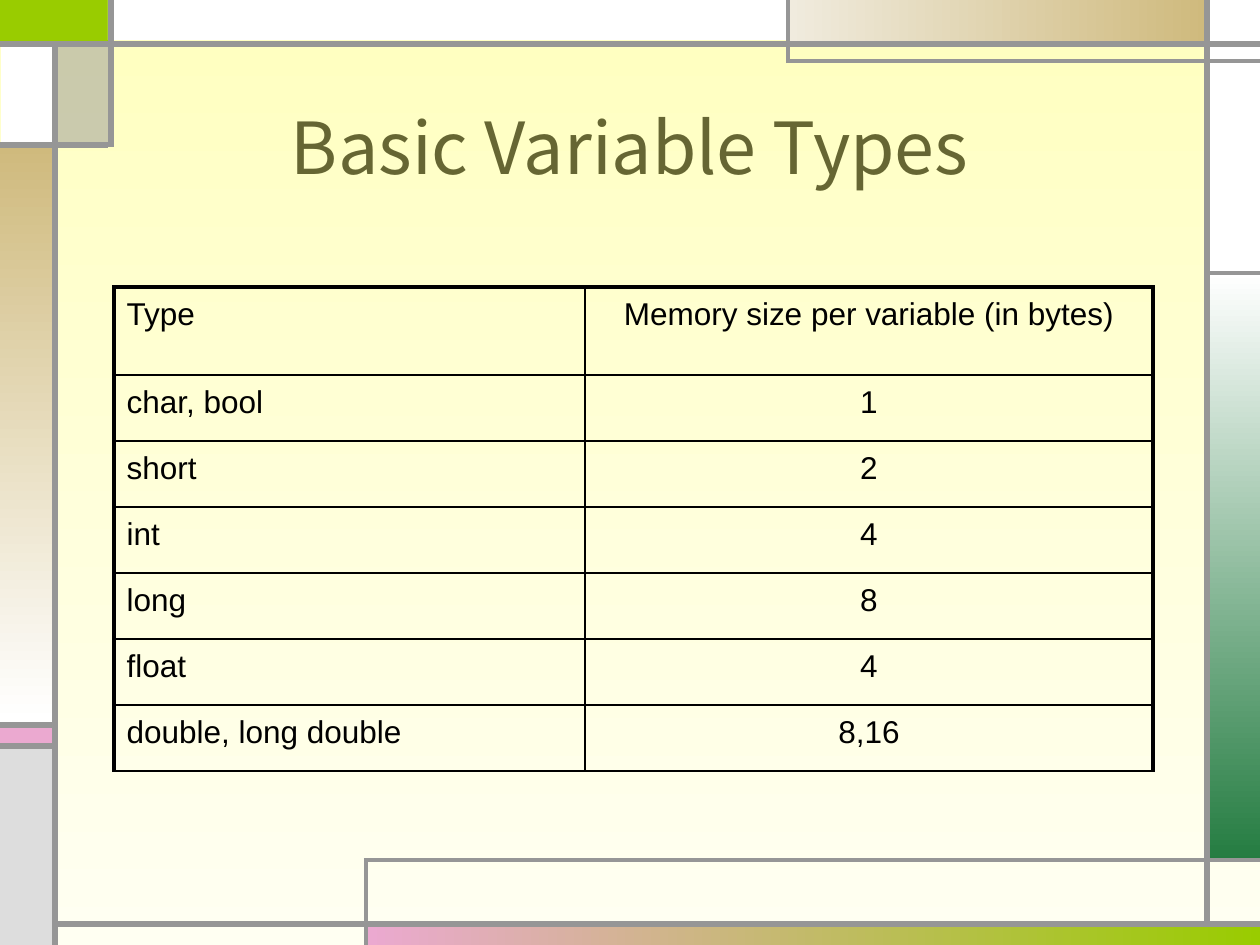
from dataclasses import dataclass

from lxml.etree import SubElement as Sub
from pptx import Presentation
from pptx.dml.color import RGBColor
from pptx.enum.shapes import MSO_CONNECTOR as Conn, MSO_SHAPE as Kind
from pptx.enum.text import MSO_ANCHOR as Anchor, PP_ALIGN as Align
from pptx.oxml.ns import qn
from pptx.util import Emu, Pt

SCALE = 914400 / 126
GREY = "969696"
DOWN = 270


@dataclass
class Block:
    left: int
    top: int
    width: int
    height: int
    hues: tuple[str, ...]
    angle: int = 0
    alpha: int = 100


@dataclass
class Rule:
    x1: int
    y1: int
    x2: int
    y2: int
    width: float = 3


BLOCKS = [
    Block(0, 0, 110, 43, ("99CC00",)),
    Block(368, 924, 892, 21, ("EBA9D0", "99CC00")),
    Block(1207, 273, 53, 588, ("FFFFFF", "247C41"), DOWN),
    Block(0, 725, 53, 21, ("EBA9D0",)),
    Block(0, 747, 53, 198, ("DDDDDD",)),
    Block(1207, 0, 53, 273, ("FFFFFF",)),
    Block(788, 0, 419, 42, ("F0EBDE", "CFBA7D")),
    Block(58, 42, 53, 103, (GREY,), alpha=50),
    Block(0, 145, 53, 577, ("CFBA7D", "FFFFFF"), DOWN),
    Block(1, 42, 53, 103, ("FFFFFF",)),
    Block(108, 0, 680, 40, ("FFFFFF",)),
]
RULES = [
    Rule(55, 945, 55, 42),
    Rule(55, 924, 1260, 924),
    Rule(1207, 924, 1207, 0),
    Rule(0, 44, 1260, 44),
    Rule(1260, 61, 788, 61, 2.25),
    Rule(788, 63, 788, 0, 2.25),
    Rule(1207, 273, 1260, 273, 2.25),
    Rule(111, 0, 111, 147),
    Rule(108, 145, 0, 145),
    Rule(366, 945, 366, 859, 2.25),
    Rule(364, 860, 1260, 860, 2.25),
    Rule(58, 725, 0, 725),
    Rule(58, 746, 0, 746),
]
ROWS = [
    ("Type", "Memory size per variable (in bytes)"),
    ("char, bool", "1"),
    ("short", "2"),
    ("int", "4"),
    ("long", "8"),
    ("float", "4"),
    ("double, long double", "8,16"),
]
COLS = (471, 568)
HEIGHTS = (88,) + (66,) * 6
TITLE = {"size": Pt(41), "name": "Noto Sans CJK KR"}
BODY = {"size": Pt(18), "name": "Arial"}
SPACE = {"line_spacing": 1.1, "space_before": Pt(3.6)}


def px(*nums: int) -> list[Emu]:
    return [Emu(round(n * SCALE)) for n in nums]


def rgb(code: str) -> RGBColor:
    return RGBColor.from_string(code)


def style(item, attrs: dict) -> None:
    for key, value in attrs.items():
        setattr(item, key, value)


def paint(fill, hues: tuple[str, ...], angle: int = 0) -> None:
    if len(hues) == 1:
        fill.solid()
        fill.fore_color.rgb = rgb(hues[0])
        return
    fill.gradient()
    fill.gradient_angle = angle
    for stop, hue, place in zip(fill.gradient_stops, hues, (0, 1)):
        stop.color.rgb = rgb(hue)
        stop.position = place


def draw_block(slide, block: Block) -> None:
    box = px(block.left, block.top, block.width, block.height)
    shape = slide.shapes.add_shape(Kind.RECTANGLE, *box)
    shape.shadow.inherit = False
    shape.line.fill.background()
    paint(shape.fill, block.hues, block.angle)
    if block.alpha < 100:
        for tone in shape.fill._xPr.iter(qn("a:srgbClr")):
            Sub(tone, qn("a:alpha"), val=str(block.alpha * 1000))


def draw_rule(slide, rule: Rule) -> None:
    ends = px(rule.x1, rule.y1, rule.x2, rule.y2)
    line = slide.shapes.add_connector(Conn.STRAIGHT, *ends)
    line.line.color.rgb = rgb(GREY)
    line.line.width = Pt(rule.width)
    Sub(line._element.spPr, qn("a:effectLst"))


def write(frame, text: str, hue: str, font: dict, para: dict) -> None:
    first = frame.paragraphs[0]
    style(first, para)
    run = first.add_run()
    run.text = text
    style(run.font, font)
    run.font.color.rgb = rgb(hue)


def edge(cell, widths: dict[str, float]) -> None:
    props = cell._tc.get_or_add_tcPr()
    for side, width in widths.items():
        line = Sub(props, qn(f"a:ln{side}"), w=str(Pt(width)))
        fill = Sub(line, qn("a:solidFill"))
        Sub(fill, qn("a:srgbClr"), val="000000")


def draw_table(slide) -> None:
    box = px(114, 287, sum(COLS), sum(HEIGHTS))
    table = slide.shapes.add_table(len(ROWS), len(COLS), *box).table
    style(table, {"first_row": False, "horz_banding": False})
    for col, width in zip(table.columns, px(*COLS)):
        col.width = width
    for row, height in zip(table.rows, px(*HEIGHTS)):
        row.height = height
    for r, texts in enumerate(ROWS):
        for c, text in enumerate(texts):
            cell = table.cell(r, c)
            align = Align.CENTER if c else Align.LEFT
            write(cell.text_frame, text, "000000", BODY, SPACE | {"alignment": align})
            edge(cell, {
                "L": 1 if c else 2.25,
                "R": 2.25 if c else 1,
                "T": 1 if r else 2.25,
                "B": 1,
            })
            cell.fill.background()


def main() -> None:
    deck = Presentation()
    deck.slide_width, deck.slide_height = px(1260, 945)
    slide = deck.slides.add_slide(deck.slide_layouts[6])
    paint(slide.background.fill, ("FFFFBF", "FFFFF2"), DOWN)
    for block in BLOCKS:
        draw_block(slide, block)
    for rule in RULES:
        draw_rule(slide, rule)
    frame = slide.shapes.add_textbox(*px(63, 67, 1134, 158)).text_frame
    style(frame, {"word_wrap": True, "vertical_anchor": Anchor.MIDDLE})
    write(frame, "Basic Variable Types", "666633", TITLE, {"alignment": Align.CENTER})
    draw_table(slide)
    deck.save("out.pptx")


if __name__ == "__main__":
    main()
